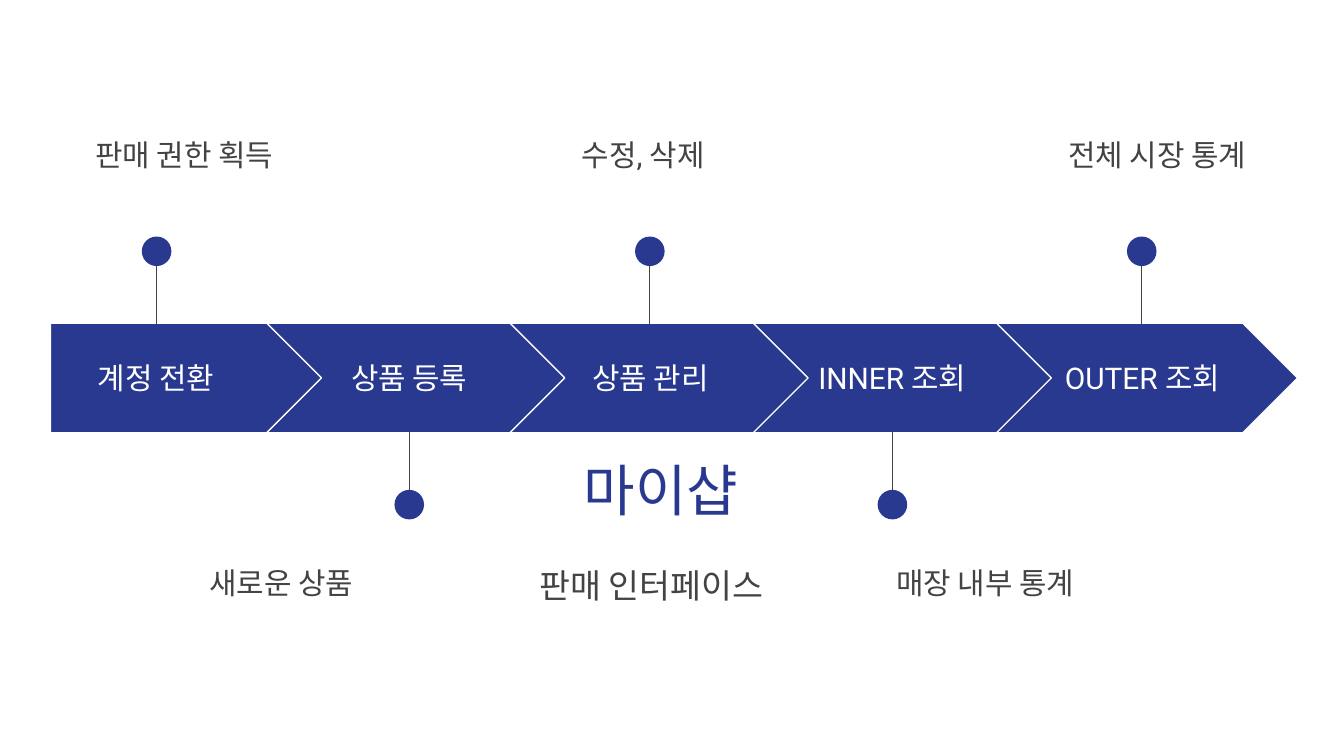
from lxml import etree
from pptx import Presentation
from pptx import util as u
from pptx.dml.color import RGBColor
from pptx.enum import shapes, text
from pptx.oxml import ns

PX = 4572
NAVY, GRAY, WHITE = "2A3990", "434343", "FFFFFF"
FIRST_LEFT, PITCH, ARROW_TOP, ARROW_HEIGHT = 35, 362, 481, 163

STAGES = [
    ("계정 전환", 53, 198, "판매 권한 획득", 87),
    ("상품 등록", 68, 212, "새로운 상품", -105),
    ("상품 관리", 65, 208, "수정, 삭제", 87),
    ("INNER 조회", 63, 207, "매장 내부 통계", 193),
    ("OUTER 조회", 73, 216, "전체 시장 통계", 87),
]


def px(*lengths):
    """Turn px lengths into EMU."""
    return [u.Emu(length * PX) for length in lengths]


def color(value):
    """Turn a hex string into a colour."""
    return RGBColor.from_string(value)


def add_text(slide, box, words, size=16, fill=GRAY, align=text.PP_ALIGN.LEFT,
             anchor=text.MSO_ANCHOR.TOP, spacing=None):
    """Add a one-paragraph text box."""
    frame = slide.shapes.add_textbox(*px(*box)).text_frame
    frame.word_wrap = True
    frame.vertical_anchor = anchor
    frame.margin_left, frame.margin_top, frame.margin_right, frame.margin_bottom = px(20, 20, 20, 20)
    paragraph = frame.paragraphs[0]
    paragraph.text = words
    paragraph.alignment = align
    if spacing:
        paragraph.line_spacing = spacing
        paragraph.space_after = u.Pt(16)
    paragraph.font.name = "Roboto"
    paragraph.font.size = u.Pt(size)
    paragraph.font.color.rgb = color(fill)


def add_solid(slide, kind, box, outline=None):
    """Add a navy shape, outlined if a colour is given."""
    shape = slide.shapes.add_shape(kind, *px(*box))
    shape.shadow.inherit = False
    shape.fill.solid()
    shape.fill.fore_color.rgb = color(NAVY)
    if outline:
        shape.line.color.rgb = color(outline)
        shape.line.width = u.Pt(0.75)
    else:
        shape.line.fill.background()
    return shape


def add_pin(slide, center, top, above):
    """Add a stem with a dot at its outer end."""
    start, end = (top + 8, top + 130) if above else (top + 122, top)
    stem = slide.shapes.add_connector(
        shapes.MSO_CONNECTOR.STRAIGHT, *px(center, start, center, end))
    stem.line.color.rgb = color(GRAY)
    stem.line.width = u.Pt(0.75)
    etree.SubElement(stem.element.spPr, ns.qn("a:effectLst"))
    dot_top = top if above else top + 87
    add_solid(slide, shapes.MSO_SHAPE.OVAL, (center - 22, dot_top, 44, 44))


def add_stage(slide, index, left, top, stage):
    """Add one arrow with its label, pin and caption."""
    label, label_offset, pin_offset, caption, caption_offset = stage
    above = index % 2 == 0
    kind, inset, width = ((shapes.MSO_SHAPE.CHEVRON, 0, 448) if index
                          else (shapes.MSO_SHAPE.PENTAGON, 40, 410))
    arrow = add_solid(slide, kind, (left + inset, top, width, ARROW_HEIGHT), WHITE)
    arrow.adjustments[0] = 0.5
    add_text(slide, (left + label_offset, top + 30, 288, 102), label, fill=WHITE,
             align=text.PP_ALIGN.CENTER, anchor=text.MSO_ANCHOR.MIDDLE)
    add_pin(slide, left + pin_offset, top - 129 if above else top + 161, above)
    caption_top = top - 305 if above else top + 331
    add_text(slide, (left + caption_offset, caption_top, 490, 198), caption, spacing=1.15)


def add_heading(slide, left, top):
    """Add the title and the subtitle under it."""
    add_text(slide, (left, top, 662, 142), "마이샵", size=30, fill=NAVY,
             align=text.PP_ALIGN.CENTER)
    add_text(slide, (left + 130, top + 154, 434, 278), "판매 인터페이스", size=18, spacing=1.15)


def main():
    """Build and save the slide."""
    presentation = Presentation()
    presentation.slide_width, presentation.slide_height = px(2000, 1125)
    slide = presentation.slides.add_slide(presentation.slide_layouts[6])
    for index, stage in enumerate(STAGES):
        add_stage(slide, index, FIRST_LEFT + index * PITCH, ARROW_TOP, stage)
    add_heading(slide, 653, 658)
    presentation.save("out.pptx")


if __name__ == "__main__":
    main()
